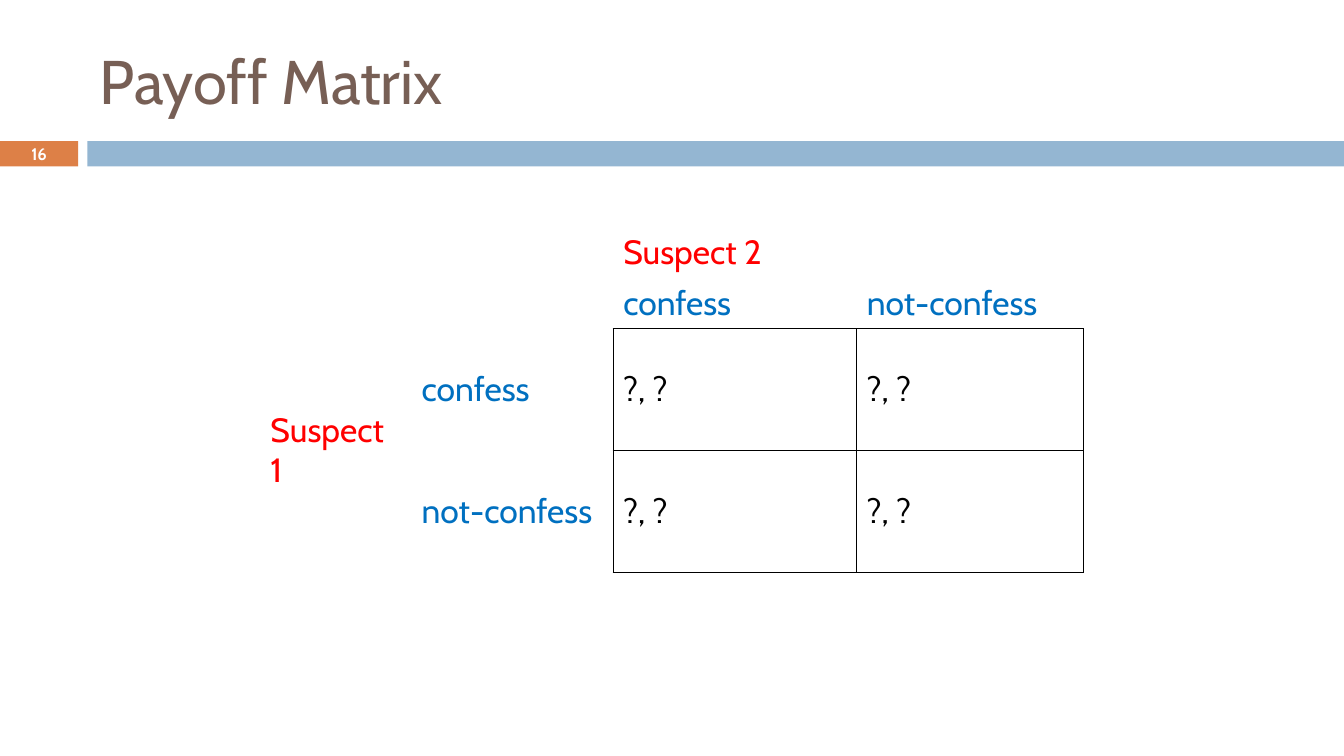
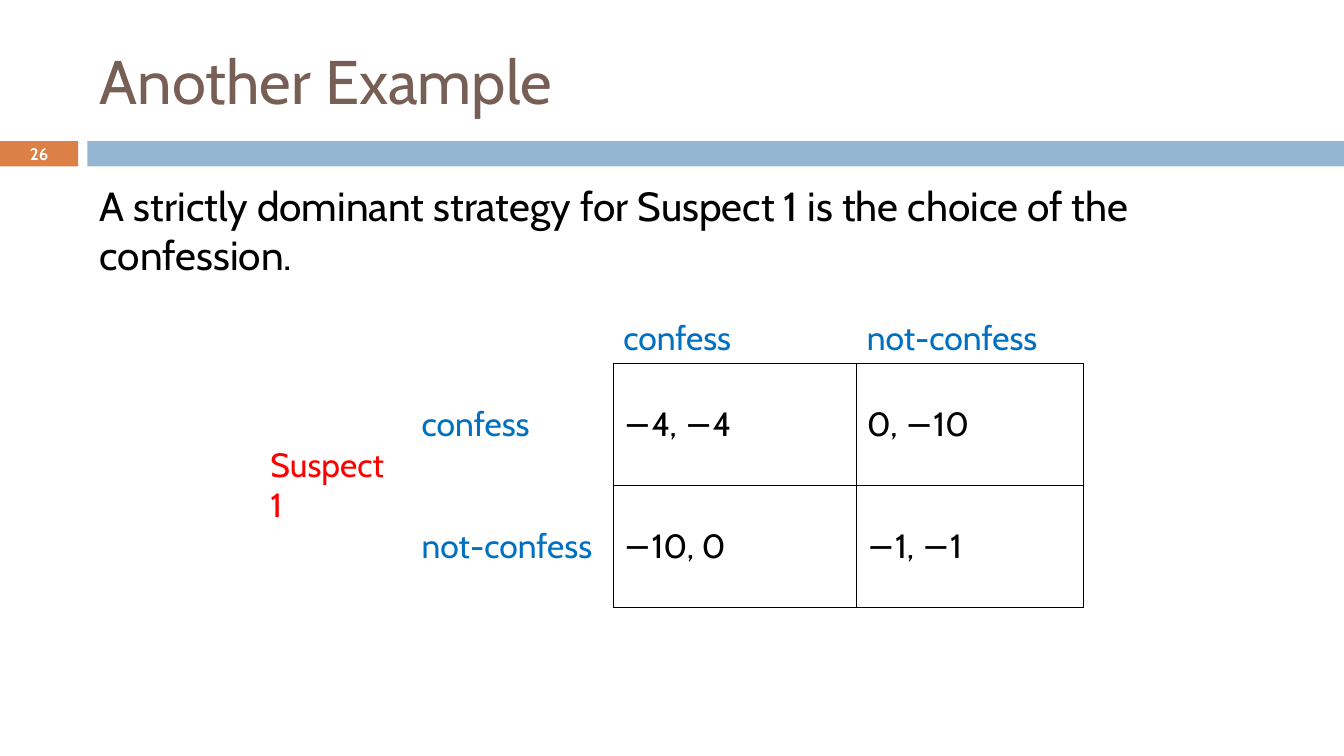
from pptx import Presentation, util as u
from pptx.dml.color import RGBColor
from pptx.enum import shapes, text
from pptx.oxml import parse_xml
from pptx.oxml.ns import nsdecls

COLS, ROWS = 160, 90
RED, BLUE, BLACK, WHITE = "FF0000", "0070C0", "000000", "FFFFFF"
BROWN, RUST, SKY = "775F55", "DD8047", "94B6D2"
SIDES = {"L": (0, -1), "R": (0, 1), "T": (-1, 0), "B": (1, 0)}
WIDTHS, HEIGHTS = (18, 24, 29, 27), (6, 6, 14.5, 14.5)
MOVES = ("confess", "not-confess")


def color(code):
    """Turn a hex string into a colour."""
    return RGBColor.from_string(code)


def assign(item, values):
    """Set each named attribute of an item."""
    for name, value in values.items():
        setattr(item, name, value)


def inner(row, col):
    """Tell whether a cell holds a payoff."""
    return row >= 2 and col >= 2


class Deck:
    """Hold the shared style and the current slide."""

    def __init__(self):
        """Open a deck whose grid unit is a twelfth of an inch."""
        self.show = Presentation()
        self.unit = u.Inches(1) / 12
        assign(self.show, {"slide_width": self.size(COLS),
                           "slide_height": self.size(ROWS)})
        self.slide = None

    def size(self, count):
        """Convert grid units to a length."""
        return u.Emu(round(count * self.unit))

    def area(self, *box):
        """Convert a grid box to four lengths."""
        return [self.size(part) for part in box]

    def label(self, frame, words, points, code, bold=False, align=text.PP_ALIGN.LEFT):
        """Fill a frame with one formatted paragraph."""
        frame.text = words
        line = frame.paragraphs[0]
        assign(line, {"alignment": align, "space_before": u.Pt(0)})
        assign(line.font, {"name": "Cabin", "size": u.Pt(points), "bold": bold})
        line.font.color.rgb = color(code)

    def band(self, left, width, code):
        """Draw one block of the band below the title."""
        block = self.slide.shapes.add_shape(
            shapes.MSO_SHAPE.RECTANGLE, *self.area(left, 16.8, width, 3))
        block.shadow.inherit = False
        block.fill.solid()
        block.fill.fore_color.rgb = color(code)
        block.line.fill.background()
        return block.text_frame

    def page(self, title, number):
        """Start a slide with its title, band and number."""
        self.slide = self.show.slides.add_slide(self.show.slide_layouts[5])
        head = self.slide.shapes.title
        assign(head, dict(zip(("left", "top", "width", "height"),
                              self.area(10.7, 3, 142.7, 13))))
        assign(head.text_frame, {"vertical_anchor": text.MSO_ANCHOR.MIDDLE,
                                 "auto_size": text.MSO_AUTO_SIZE.NONE,
                                 "word_wrap": True})
        self.label(head.text_frame, title, 44, BROWN)
        badge = self.band(0, 9.3, RUST)
        assign(badge, {"margin_top": 0, "margin_bottom": 0,
                       "vertical_anchor": text.MSO_ANCHOR.MIDDLE})
        self.label(badge, str(number), 12, WHITE, True, text.PP_ALIGN.CENTER)
        self.band(10.4, COLS - 10.4, SKY)

    def body(self, words):
        """Add the statement below the band."""
        frame = self.slide.shapes.add_textbox(
            *self.area(10.7, 21, 142.7, 14)).text_frame
        frame.word_wrap = True
        self.label(frame, words, 29, BLACK)

    def border(self, cell, row, col):
        """Rule every side that touches a payoff cell."""
        props = cell._tc.get_or_add_tcPr()
        for place, (side, (down, right)) in enumerate(SIDES.items()):
            ruled = inner(row, col) or (
                inner(row + down, col + right)
                and row + down < len(HEIGHTS) and col + right < len(WIDTHS))
            paint = (f'<a:solidFill><a:srgbClr val="{BLACK}"/></a:solidFill>'
                     if ruled else "<a:noFill/>")
            props.insert(place, parse_xml(
                f'<a:ln{side} {nsdecls("a")} w="{u.Pt(1)}">{paint}</a:ln{side}>'))

    def matrix(self, top, payoffs, rival=""):
        """Add a payoff table for two suspects."""
        grid = self.slide.shapes.add_table(
            len(HEIGHTS), len(WIDTHS),
            *self.area(31, top, sum(WIDTHS), sum(HEIGHTS))).table
        assign(grid, {"first_row": False, "horz_banding": False})
        for col, width in zip(grid.columns, WIDTHS):
            col.width = self.size(width)
        for row, height in zip(grid.rows, HEIGHTS):
            row.height = self.size(height)
        words = {(0, 2): (rival, RED), (2, 0): ("Suspect 1", RED)}
        for i, move in enumerate(MOVES):
            words[1, i + 2] = words[i + 2, 1] = (move, BLUE)
            for j, pair in enumerate(payoffs[i]):
                words[i + 2, j + 2] = (pair, BLACK)
        for row in range(len(HEIGHTS)):
            for col in range(len(WIDTHS)):
                cell = grid.cell(row, col)
                cell.vertical_anchor = text.MSO_ANCHOR.MIDDLE
                cell.fill.background()
                self.border(cell, row, col)
                entry, code = words.get((row, col), ("", BLACK))
                if entry:
                    self.label(cell.text_frame, entry, 24, code)
        grid.cell(0, 2).merge(grid.cell(0, 3))
        grid.cell(2, 0).merge(grid.cell(3, 0))


def main():
    """Build and save both slides."""
    deck = Deck()
    deck.page("Payoff Matrix", 16)
    deck.matrix(27, [["?, ?"] * 2] * 2, "Suspect 2")
    deck.page("Another Example", 26)
    deck.body("A strictly dominant strategy for Suspect 1 is the choice of the confession.")
    deck.matrix(31.3, [["−4, −4", "0, −10"], ["−10, 0", "−1, −1"]])
    deck.show.save("out.pptx")


if __name__ == "__main__":
    main()
